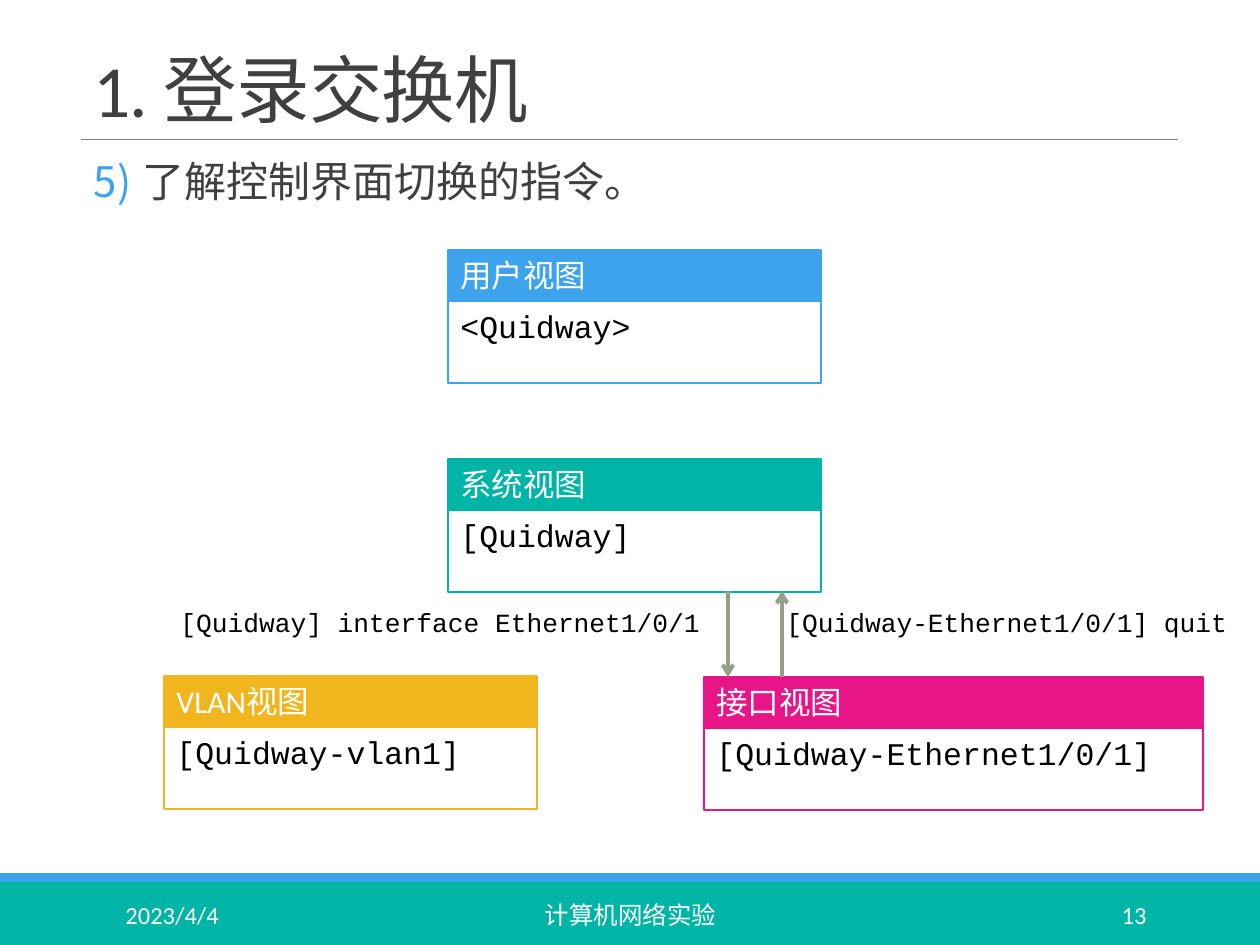
from dataclasses import dataclass

from lxml.etree import SubElement
from pptx import Presentation
from pptx.dml.color import RGBColor
from pptx.enum.shapes import MSO_CONNECTOR, MSO_SHAPE
from pptx.enum.text import MSO_ANCHOR, PP_ALIGN
from pptx.oxml.ns import qn
from pptx.util import Emu, Pt

EMU_PER_PX = 914400 / 126


@dataclass(frozen=True)
class Theme:
    blue: str = "3DA3ED"
    teal: str = "00B4A6"
    pink: str = "E81588"
    amber: str = "F1B61E"
    sage: str = "94A088"
    rule: str = "808080"
    ink: str = "404040"
    black: str = "000000"
    white: str = "FFFFFF"
    sans: str = "Calibri"
    mono: str = "Courier New"
    title_size: int = 42
    body_size: int = 24
    panel_size: int = 18
    command_size: int = 15
    footer_size: int = 14


THEME = Theme()


@dataclass(frozen=True)
class Box:
    left: int
    top: int
    width: int
    height: int

    def emu(self) -> tuple:
        return tuple(px(value) for value in (self.left, self.top, self.width, self.height))


@dataclass(frozen=True)
class TextStyle:
    size: int
    color: str
    font: str = THEME.sans


@dataclass(frozen=True)
class View:
    name: str
    prompt: str
    left: int
    top: int
    width: int
    color: str


@dataclass(frozen=True)
class Command:
    text: str
    box: Box


@dataclass(frozen=True)
class Arrow:
    x: int
    start: int
    end: int


@dataclass(frozen=True)
class FooterItem:
    text: str
    box: Box
    alignment: PP_ALIGN


HEADER_HEIGHT = 51
FRAME_HEIGHT = 82
SYSTEM_BOTTOM = 591
INTERFACE_TOP = 677

VIEWS = (
    View("用户视图", "<Quidway>", 448, 250, 373, THEME.blue),
    View("系统视图", "[Quidway]", 448, 459, 373, THEME.teal),
    View("接口视图", "[Quidway-Ethernet1/0/1]", 704, 677, 499, THEME.pink),
    View("VLAN视图", "[Quidway-vlan1]", 164, 676, 373, THEME.amber),
)
COMMANDS = (
    Command("[Quidway] interface Ethernet1/0/1", Box(168, 600, 562, 44)),
    Command("[Quidway-Ethernet1/0/1] quit", Box(774, 600, 475, 44)),
)
ARROWS = (
    Arrow(728, SYSTEM_BOTTOM, INTERFACE_TOP),
    Arrow(782, INTERFACE_TOP, SYSTEM_BOTTOM),
)
FOOTER = (
    FooterItem("2023/4/4", Box(113, 890, 256, 50), PP_ALIGN.LEFT),
    FooterItem("计算机网络实验", Box(381, 890, 499, 50), PP_ALIGN.CENTER),
    FooterItem("13", Box(1023, 890, 136, 50), PP_ALIGN.RIGHT),
)


def px(value: int) -> Emu:
    return Emu(round(value * EMU_PER_PX))


def rgb(color: str) -> RGBColor:
    return RGBColor.from_string(color)


def write(shape, text: str, style: TextStyle, alignment=PP_ALIGN.LEFT, anchor=MSO_ANCHOR.TOP):
    frame = shape.text_frame
    frame.word_wrap = True
    frame.vertical_anchor = anchor
    paragraph = frame.paragraphs[0]
    paragraph.alignment = alignment
    run = paragraph.add_run()
    run.text = text
    run.font.size = Pt(style.size)
    run.font.name = style.font
    run.font.color.rgb = rgb(style.color)
    return paragraph


def add_text(slide, box: Box, text: str, style: TextStyle, **layout):
    shape = slide.shapes.add_textbox(*box.emu())
    return shape, write(shape, text, style, **layout)


def add_rectangle(slide, box: Box, fill: str | None = None, line: str | None = None):
    shape = slide.shapes.add_shape(MSO_SHAPE.RECTANGLE, *box.emu())
    shape.shadow.inherit = False
    if fill:
        shape.fill.solid()
        shape.fill.fore_color.rgb = rgb(fill)
    else:
        shape.fill.background()
    if line:
        shape.line.color.rgb = rgb(line)
        shape.line.width = Pt(1)
    else:
        shape.line.fill.background()
    return shape


def add_line(slide, start: tuple[int, int], end: tuple[int, int], color: str, width: float):
    connector = slide.shapes.add_connector(
        MSO_CONNECTOR.STRAIGHT, *(px(value) for value in start + end)
    )
    connector.line.color.rgb = rgb(color)
    connector.line.width = Pt(width)
    SubElement(connector._element.spPr, qn("a:effectLst"))
    return connector


def add_arrow(slide, arrow: Arrow) -> None:
    connector = add_line(slide, (arrow.x, arrow.start), (arrow.x, arrow.end), THEME.sage, 2.25)
    SubElement(connector.line._get_or_add_ln(), qn("a:tailEnd"), type="arrow")


def add_view(slide, view: View) -> None:
    header_box = Box(view.left, view.top, view.width, HEADER_HEIGHT)
    frame_top = view.top + HEADER_HEIGHT
    header = add_rectangle(slide, header_box, view.color, view.color)
    write(header, view.name, TextStyle(THEME.panel_size, THEME.white))
    prompt_box = Box(view.left, frame_top, view.width, HEADER_HEIGHT)
    add_text(slide, prompt_box, view.prompt, TextStyle(THEME.panel_size, THEME.black, THEME.mono))
    add_rectangle(slide, Box(view.left, frame_top, view.width, FRAME_HEIGHT), line=view.color)


def add_title(slide) -> None:
    style = TextStyle(THEME.title_size, THEME.ink)
    _, paragraph = add_text(
        slide, Box(81, 39, 1097, 100), "1. 登录交换机", style, anchor=MSO_ANCHOR.BOTTOM
    )
    paragraph.line_spacing = 0.85
    paragraph.runs[0].font._element.set("spc", "-50")


def add_step(slide) -> None:
    style = TextStyle(THEME.body_size, THEME.ink)
    shape, paragraph = add_text(slide, Box(81, 155, 1097, 700), "了解控制界面切换的指令。", style)
    shape.text_frame.margin_left = shape.text_frame.margin_right = 0
    properties = paragraph._p.get_or_add_pPr()
    properties.set("marL", str(px(62)))
    properties.set("indent", str(px(-49)))
    bullet_color = SubElement(properties, qn("a:buClr"))
    SubElement(bullet_color, qn("a:srgbClr"), val=THEME.blue)
    SubElement(properties, qn("a:buFont"), typeface=THEME.sans)
    SubElement(properties, qn("a:buAutoNum"), type="arabicParenR", startAt="5")
    paragraph.line_spacing = 0.9
    paragraph.space_after = Pt(4)


def main() -> None:
    presentation = Presentation()
    presentation.slide_width = px(1260)
    presentation.slide_height = px(945)
    slide = presentation.slides.add_slide(presentation.slide_layouts[6])
    add_rectangle(slide, Box(0, 873, 1260, 9), THEME.blue)
    add_rectangle(slide, Box(0, 882, 1260, 63), THEME.teal)
    add_line(slide, (81, 139), (1178, 139), THEME.rule, 0.5)
    add_title(slide)
    add_step(slide)
    for item in FOOTER:
        style = TextStyle(THEME.footer_size, THEME.white)
        add_text(slide, item.box, item.text, style, alignment=item.alignment, anchor=MSO_ANCHOR.MIDDLE)
    for view in VIEWS:
        add_view(slide, view)
    for command in COMMANDS:
        add_text(slide, command.box, command.text, TextStyle(THEME.command_size, THEME.black, THEME.mono))
    for arrow in ARROWS:
        add_arrow(slide, arrow)
    presentation.save("out.pptx")


if __name__ == "__main__":
    main()
